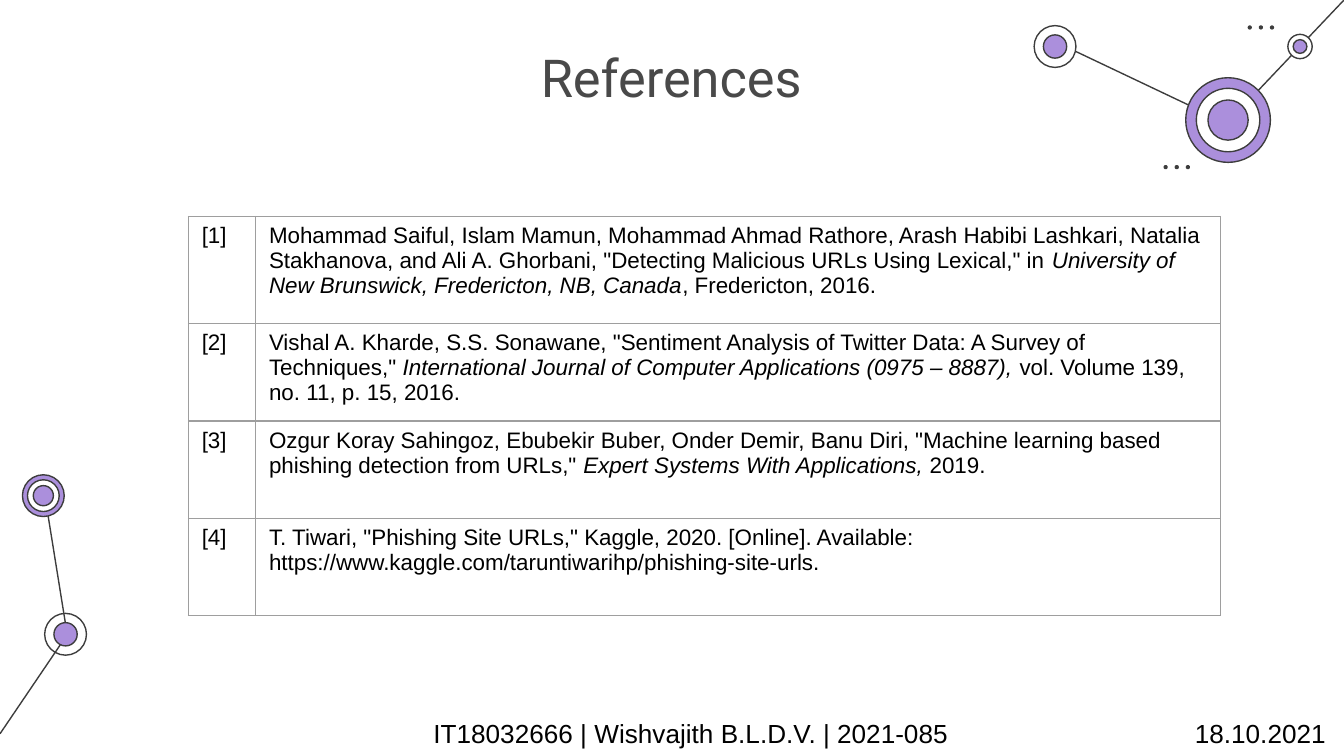
import pptx
import pptx.dml.color
import pptx.enum.shapes
import pptx.enum.text
import pptx.util
from lxml import etree
from pptx.oxml.ns import qn

Cm, Pt = pptx.util.Cm, pptx.util.Pt

DARK, PURPLE, WHITE, BLACK = "3D3D3D", "AB8FDC", "FFFFFF", "000000"
GREY, BORDER = "494949", "9E9E9E"

TITLE = "References"
# Each reference: plain text, italic text, plain text
REFS = [
    ('Mohammad Saiful, Islam Mamun, Mohammad Ahmad Rathore, Arash Habibi '
     'Lashkari, Natalia Stakhanova, and Ali A. Ghorbani, "Detecting Malicious '
     'URLs Using Lexical," in ',
     "University of New Brunswick, Fredericton, NB, Canada",
     ", Fredericton, 2016."),
    ('Vishal A. Kharde, S.S. Sonawane, "Sentiment Analysis of Twitter Data: '
     'A Survey of Techniques," ',
     "International Journal of Computer Applications (0975 – 8887), ",
     "vol. Volume 139, no. 11, p. 15, 2016."),
    ('Ozgur Koray Sahingoz, Ebubekir Buber, Onder Demir, Banu Diri, "Machine '
     'learning based phishing detection from URLs," ',
     "Expert Systems With Applications, ", "2019."),
    ('T. Tiwari, "Phishing Site URLs," Kaggle, 2020. [Online]. Available: '
     'https://www.kaggle.com/taruntiwarihp/phishing-site-urls.', "", ""),
]
FOOTER = "IT18032666 | Wishvajith B.L.D.V. | 2021-085\t18.10.2021"

COLS = [1.27, 18.24]
ROWS = [2.03, 1.84, 1.84, 1.84]

# Lengths in cm
LINKS = [
    (1.27, 11.99, 0.84, 9.32),
    (0, 13.87, 1.24, 12.04),
    (23.21, 2.34, 19.99, 0.81),
    (25.4, 0, 23.21, 2.31),
]
# Centre, then rings from the outside in: diameter, fill
NODES = [
    (1.24, 11.99, [(0.79, None), (0.44, PURPLE)]),
    (0.82, 9.37, [(0.79, PURPLE), (0.6, WHITE), (0.38, PURPLE)]),
    (23.21, 2.27, [(1.6, PURPLE), (1.2, WHITE), (0.76, PURPLE)]),
    (19.94, 0.88, [(0.79, WHITE), (0.44, PURPLE)]),
    (24.57, 0.88, [(0.46, WHITE), (0.26, PURPLE)]),
]
DOTS = [(23.62, 0.52), (22.03, 3.16)]
DOT, STEP = 0.08, 0.21


def color(code):
    return pptx.dml.color.RGBColor.from_string(code)


def style(font, name, size, code):
    font.name, font.size = name, Pt(size)
    font.color.rgb = color(code)


def circle(slide, x, y, size, fill, line=None):
    """Draw a circle centred on x, y."""
    shape = slide.shapes.add_shape(
        pptx.enum.shapes.MSO_SHAPE.OVAL,
        Cm(x - size / 2), Cm(y - size / 2), Cm(size), Cm(size))
    shape.shadow.inherit = False
    if fill:
        shape.fill.solid()
        shape.fill.fore_color.rgb = color(fill)
    else:
        shape.fill.background()
    if line:
        shape.line.color.rgb = color(line)
        shape.line.width = Pt(0.75)
    else:
        shape.line.fill.background()


def network(slide):
    for link in LINKS:
        line = slide.shapes.add_connector(
            pptx.enum.shapes.MSO_CONNECTOR.STRAIGHT, *map(Cm, link))
        line.line.color.rgb = color(DARK)
        line.line.width = Pt(0.75)
        etree.SubElement(line._element.spPr, qn("a:effectLst"))
    for x, y, rings in NODES:
        for size, fill in rings:
            circle(slide, x, y, size, fill, DARK)
    for x, y in DOTS:
        for i in range(3):
            circle(slide, x + i * STEP, y, DOT, DARK)


def heading(slide):
    title = slide.shapes.title
    title.left, title.top = Cm(7.01), Cm(0.61)
    title.width, title.height = Cm(11.35), Cm(1.6)
    frame = title.text_frame
    frame.text = TITLE
    frame.margin_left = frame.margin_right = Cm(0.25)
    frame.margin_top = frame.margin_bottom = Cm(0.25)
    frame.vertical_anchor = pptx.enum.text.MSO_ANCHOR.TOP
    par = frame.paragraphs[0]
    par.alignment = pptx.enum.text.PP_ALIGN.CENTER
    style(par.runs[0].font, "Roboto", 28, GREY)


def edge(cell):
    """Give a cell thin borders and no fill."""
    props = cell._tc.get_or_add_tcPr()
    for side in ("lnL", "lnR", "lnT", "lnB"):
        line = etree.SubElement(props, qn("a:" + side), w=str(Pt(0.75)))
        fill = etree.SubElement(line, qn("a:solidFill"))
        etree.SubElement(fill, qn("a:srgbClr"), val=BORDER)
    cell.fill.background()


def listing(slide):
    table = slide.shapes.add_table(
        len(ROWS), len(COLS), Cm(3.56), Cm(4.09),
        Cm(sum(COLS)), Cm(sum(ROWS))).table
    table.first_row = table.horz_banding = False
    for col, width in zip(table.columns, COLS):
        col.width = Cm(width)
    for row, height in zip(table.rows, ROWS):
        row.height = Cm(height)
    for i, ref in enumerate(REFS):
        for j, parts in enumerate([(f"[{i + 1}]",), ref]):
            cell = table.cell(i, j)
            edge(cell)
            par = cell.text_frame.paragraphs[0]
            for k, part in enumerate(parts):
                if part:
                    run = par.add_run()
                    run.text = part
                    style(run.font, "Arial", 12, BLACK)
                    run.font.italic = k == 1


def footer(slide):
    box = slide.shapes.add_textbox(Cm(2.87), Cm(13.44), Cm(22.53), Cm(0.85))
    frame = box.text_frame
    frame.word_wrap = True
    frame.margin_left = Cm(5.32)
    par = frame.paragraphs[0]
    par.text = FOOTER
    tabs = etree.SubElement(par._p.get_or_add_pPr(), qn("a:tabLst"))
    etree.SubElement(tabs, qn("a:tab"), pos=str(Cm(16.87)), algn="r")
    for run in par.runs:
        style(run.font, "Arial", 14, BLACK)


def main():
    deck = pptx.Presentation()
    deck.slide_width, deck.slide_height = Cm(25.4), Cm(14.29)
    slide = deck.slides.add_slide(deck.slide_layouts[5])
    network(slide)
    heading(slide)
    listing(slide)
    footer(slide)
    deck.save("out.pptx")


if __name__ == "__main__":
    main()
